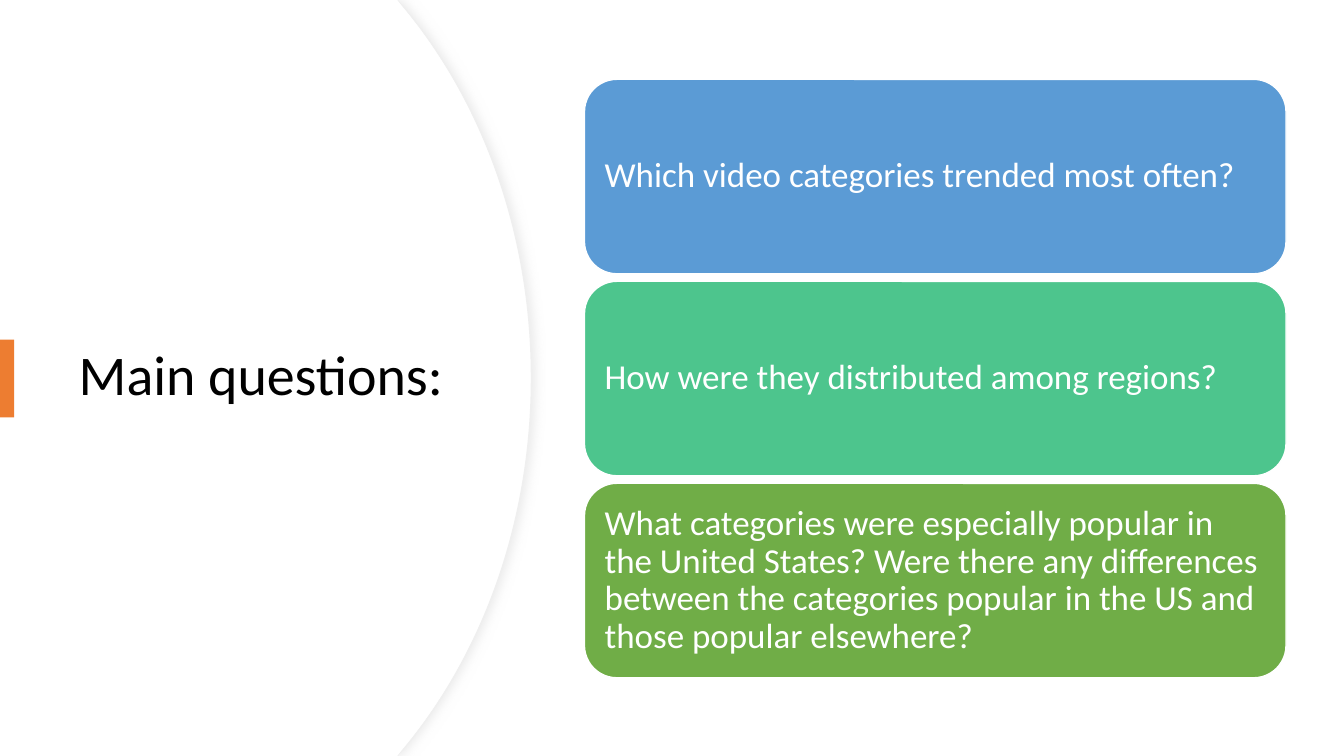
"""Build a slide with a curved title panel and three question cards."""
from dataclasses import dataclass

from lxml import etree
from pptx import Presentation
from pptx.dml.color import RGBColor
from pptx.enum.shapes import MSO_SHAPE
from pptx.enum.text import MSO_ANCHOR, MSO_AUTO_SIZE, PP_ALIGN
from pptx.oxml.ns import qn
from pptx.util import Cm, Pt

RECTANGLE = MSO_SHAPE.RECTANGLE
ROUNDED = MSO_SHAPE.ROUNDED_RECTANGLE
MIDDLE = MSO_ANCHOR.MIDDLE
LEFT = PP_ALIGN.LEFT
NO_AUTOFIT = MSO_AUTO_SIZE.NONE


@dataclass(frozen=True)
class Theme:
    font: str = "Calibri"
    title_size: int = 40
    card_size: int = 25
    white: str = "FFFFFF"
    black: str = "000000"
    outline: str = "EFEFEF"
    shadow: str = "D9D9D9"
    accent: str = "ED7D31"
    blue: str = "5B9BD5"
    teal: str = "4DC58D"
    green: str = "70AD47"


THEME = Theme()


def paint(shape, fill, line=None, width=1):
    """Set the fill and outline of a shape and clear its shadow."""
    shape.shadow.inherit = False
    shape.fill.solid()
    shape.fill.fore_color.rgb = RGBColor.from_string(fill)
    if line:
        shape.line.color.rgb = RGBColor.from_string(line)
        shape.line.width = Pt(width)
    else:
        shape.line.fill.background()


def write(box, text, size, color):
    """Write one left-aligned, vertically centred paragraph."""
    frame = box.text_frame
    frame.word_wrap = True
    frame.auto_size = NO_AUTOFIT
    frame.vertical_anchor = MIDDLE
    para = frame.paragraphs[0]
    para.alignment = LEFT
    para.line_spacing = 0.9
    span = para.add_run()
    span.text = text
    span.font.name = THEME.font
    span.font.size = Pt(size)
    span.font.color.rgb = RGBColor.from_string(color)


deck = Presentation()
deck.slide_width = Cm(33.87)
deck.slide_height = Cm(19.05)
page = deck.slides.add_slide(deck.slide_layouts[5])

HEIGHT = 19.05
for inset, outline in ((0, THEME.outline), (0.03, None)):
    shoulder, bulge = 10.19 - inset, 13.39 - inset
    builder = page.shapes.build_freeform(0, 0)
    builder.add_line_segments([(Cm(x), Cm(y)) for x, y in (
        (10.01, 0), (shoulder, 0.2), (bulge, HEIGHT / 2),
        (shoulder, HEIGHT - 0.2), (10.01, HEIGHT), (0, HEIGHT))], close=True)
    panel = builder.convert_to_shape()
    paint(panel, THEME.white, outline, 0.75)

    upper = ((12.17 - inset, 2.59), (bulge, 5.89))
    lower = [(x, HEIGHT - y) for x, y in reversed(upper)]
    segments = list(panel._element.iter(qn("a:lnTo")))
    for segment, handles in zip(segments[2:4], (upper, lower)):
        segment.tag = qn("a:cubicBezTo")
        for position, (x, y) in enumerate(handles):
            handle = etree.Element(qn("a:pt"), x=str(Cm(x)), y=str(Cm(y)))
            segment.insert(position, handle)

    if outline:
        effects = panel._element.spPr.find(qn("a:effectLst"))
        shadow = etree.SubElement(
            effects, qn("a:outerShdw"), blurRad=str(Pt(7)), dist=str(Pt(3)),
            dir="0", algn="l", rotWithShape="0")
        tint = etree.SubElement(shadow, qn("a:srgbClr"), val=THEME.shadow)
        etree.SubElement(tint, qn("a:alpha"), val="50000")

title = page.shapes.title
panel._element.addnext(title._element)
title.left, title.top, title.width, title.height = Cm(1.73), Cm(3.23), Cm(10.01), Cm(12.57)
write(title, "Main questions:", THEME.title_size, THEME.black)

marker = page.shapes.add_shape(RECTANGLE, Cm(0), Cm(8.56), Cm(0.36), Cm(1.96))
paint(marker, THEME.accent)

QUESTIONS = (
    ("Which video categories trended most often?", THEME.blue),
    ("How were they distributed among regions?", THEME.teal),
    ("What categories were especially popular in the United States? "
     "Were there any differences between the categories popular in the US "
     "and those popular elsewhere?", THEME.green),
)
CARD_TOP, CARD_PITCH = 2, 5.09
for row, (question, color) in enumerate(QUESTIONS):
    card = page.shapes.add_shape(
        ROUNDED, Cm(14.73), Cm(CARD_TOP + row * CARD_PITCH), Cm(17.68), Cm(4.9))
    paint(card, color, THEME.white)
    frame = card.text_frame
    frame.margin_left = frame.margin_right = Cm(0.27)
    frame.margin_top = frame.margin_bottom = Cm(0.27)
    write(card, question, THEME.card_size, THEME.white)

deck.save("out.pptx")
